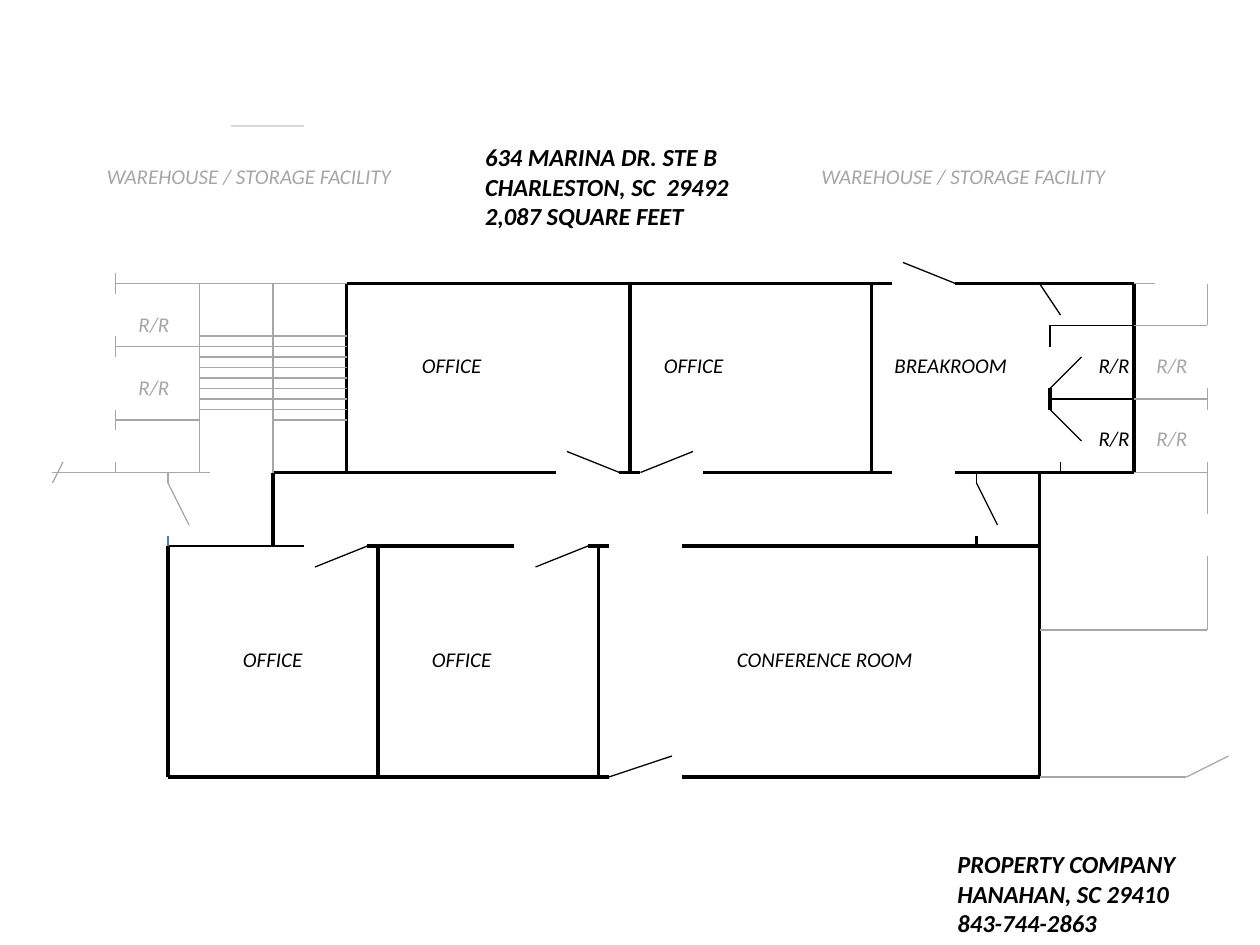
from pptx import Presentation
from pptx.dml.color import RGBColor
from pptx.enum.shapes import MSO_CONNECTOR
from pptx.enum.text import MSO_ANCHOR, MSO_AUTO_SIZE, PP_ALIGN
from pptx.oxml.ns import qn
from pptx.util import Inches, Pt
from lxml import etree

STRAIGHT = MSO_CONNECTOR.STRAIGHT
TOP = MSO_ANCHOR.TOP
FIT_SHAPE = MSO_AUTO_SIZE.SHAPE_TO_FIT_TEXT
LEFT = PP_ALIGN.LEFT

BLACK = RGBColor(0x00, 0x00, 0x00)
GRAY = RGBColor(0xA6, 0xA6, 0xA6)
PALE = RGBColor(0xD9, 0xD9, 0xD9)
BLUE = RGBColor(0x4B, 0x7E, 0xBC)
FONT = "Calibri"
THICK, THIN = 1.75, 0.75
GRID = 12  # plan units per inch

# Plan lines as (x1, y1, x2, y2) in plan units
SUITE_WALLS = [
    # upper rooms
    (33, 27, 85, 27), (91, 27, 108, 27), (33, 45, 33, 27), (60, 27, 60, 45),
    (83, 27, 83, 45), (108, 27, 108, 45), (100, 39, 100, 37),
    # corridor
    (26, 45, 53, 45), (59, 45, 61, 45), (67, 45, 85, 45), (91, 45, 108, 45),
    (26, 52, 26, 45), (93, 52, 93, 51),
    # lower rooms
    (49, 52, 35, 52), (58, 52, 56, 52), (99, 52, 65, 52), (16, 74, 16, 52),
    (36, 74, 36, 52), (57, 74, 57, 52), (99, 74, 99, 45), (16, 74, 58, 74),
    (65, 74, 99, 74),
]
SUITE_DOORS = [
    (91, 27, 86, 25), (99, 27, 101, 30), (100, 37, 103, 34), (100, 39, 103, 42),
    (59, 45, 54, 43), (61, 45, 66, 43), (93, 46, 95, 50), (30, 54, 35, 52),
    (51, 54, 56, 52), (58, 74, 64, 72),
]
SUITE_PARTITIONS = [
    (16, 52, 29, 52), (108, 31, 100, 31), (100, 33, 100, 31), (100, 38, 108, 38),
    (93, 45, 93, 46), (101, 45, 101, 44),
]
WEST_NEIGHBOR = [
    (20, 45, 5, 45), (5, 46, 6, 44), (33, 27, 11, 27), (26, 45, 26, 27),
    (19, 45, 19, 27), (11, 33, 19, 33), (19, 40, 11, 40), (11, 45, 11, 44),
    (11, 41, 11, 39), (11, 34, 11, 32), (11, 26, 11, 28), (16, 45, 16, 46),
    (16, 46, 18, 50),
]
EAST_NEIGHBOR = [
    (99, 60, 115, 60), (108, 45, 115, 45), (108, 38, 115, 38), (108, 31, 115, 31),
    (108, 27, 110, 27), (115, 31, 115, 27), (115, 37, 115, 39), (115, 44, 115, 49),
    (115, 60, 115, 53), (99, 74, 113, 74), (113, 74, 117, 72),
]
# Stair treads: some run across both flights, the others meet at the middle
STAIR_LEFT, STAIR_MID, STAIR_RIGHT = 19, 26, 33
FULL_TREADS = [32, 34, 39]
SPLIT_TREADS = [33, 35, 36, 37, 38]
STAIRS = [(STAIR_LEFT, y, STAIR_RIGHT, y) for y in FULL_TREADS]
for y in SPLIT_TREADS:
    STAIRS += [(STAIR_LEFT, y, STAIR_MID, y), (STAIR_MID, y, STAIR_RIGHT, y)]
STAIRS.append((STAIR_MID, 40, STAIR_RIGHT, 40))

LINE_GROUPS = [
    (SUITE_WALLS, BLACK, THICK),
    (SUITE_DOORS + SUITE_PARTITIONS, BLACK, THIN),
    (WEST_NEIGHBOR + STAIRS + EAST_NEIGHBOR, GRAY, THIN),
    ([(16, 52, 16, 51)], BLUE, THIN),
    ([(22, 12, 29, 12)], PALE, THIN),
]

# Labels as (text, left, top, colour) in inches
LABELS = [
    ("OFFICE", 3.25, 2.75, BLACK),
    ("OFFICE", 5.17, 2.75, BLACK),
    ("BREAKROOM", 7, 2.75, BLACK),
    ("R/R", 8.62, 2.75, BLACK),
    ("R/R", 8.62, 3.33, BLACK),
    ("OFFICE", 1.83, 5.08, BLACK),
    ("OFFICE", 3.33, 5.08, BLACK),
    ("CONFERENCE ROOM", 5.75, 5.08, BLACK),
    ("R/R", 1, 2.42, GRAY),
    ("R/R", 1, 2.92, GRAY),
    ("R/R", 9.08, 2.75, GRAY),
    ("R/R", 9.08, 3.33, GRAY),
    ("WAREHOUSE / STORAGE FACILITY", 0.75, 1.25, GRAY),
    ("WAREHOUSE / STORAGE FACILITY", 6.42, 1.25, GRAY),
]
ADDRESS = ["634 MARINA DR. STE B", "CHARLESTON, SC  29492", "2,087 SQUARE FEET"]
CONTACT = ["PROPERTY COMPANY", "HANAHAN, SC 29410", "843-744-2863"]

prs = Presentation()
prs.slide_width, prs.slide_height = Inches(10), Inches(7.5)
s = prs.slides.add_slide(prs.slide_layouts[5])


def add_text(lines, left, top, width=2.75, height=0.3, size=12, color=BLACK,
             bold=False, sp=None):
    """Write lines into sp, or into a new text box."""
    box = [Inches(v) for v in (left, top, width, height)]
    sp = sp or s.shapes.add_textbox(*box)
    sp.left, sp.top, sp.width, sp.height = box
    tf = sp.text_frame
    tf.word_wrap = True
    tf.auto_size = FIT_SHAPE
    tf.vertical_anchor = TOP
    for i, line in enumerate(lines):
        p = tf.paragraphs[0] if i == 0 else tf.add_paragraph()
        p.alignment = LEFT
        r = p.add_run()
        r.text = line
        f = r.font
        f.name, f.size, f.bold, f.italic = FONT, Pt(size), bold, True
        f.color.rgb = color


def add_line(ends, color, weight):
    line = s.shapes.add_connector(STRAIGHT, *[Inches(v / GRID) for v in ends])
    line.line.color.rgb = color
    line.line.width = Pt(weight)
    etree.SubElement(line._element.spPr, qn("a:effectLst"))


# Floor plan
for group, color, weight in LINE_GROUPS:
    for ends in group:
        add_line(ends, color, weight)

# Room labels
for text, left, top, color in LABELS:
    add_text([text], left, top, color=color)

# Title and contact
heading = dict(width=3.58, height=0.81, size=14, bold=True)
add_text(ADDRESS, 3.75, 1.08, sp=s.shapes.title, **heading)
add_text(CONTACT, 7.5, 6.69, **heading)

prs.save("out.pptx")
